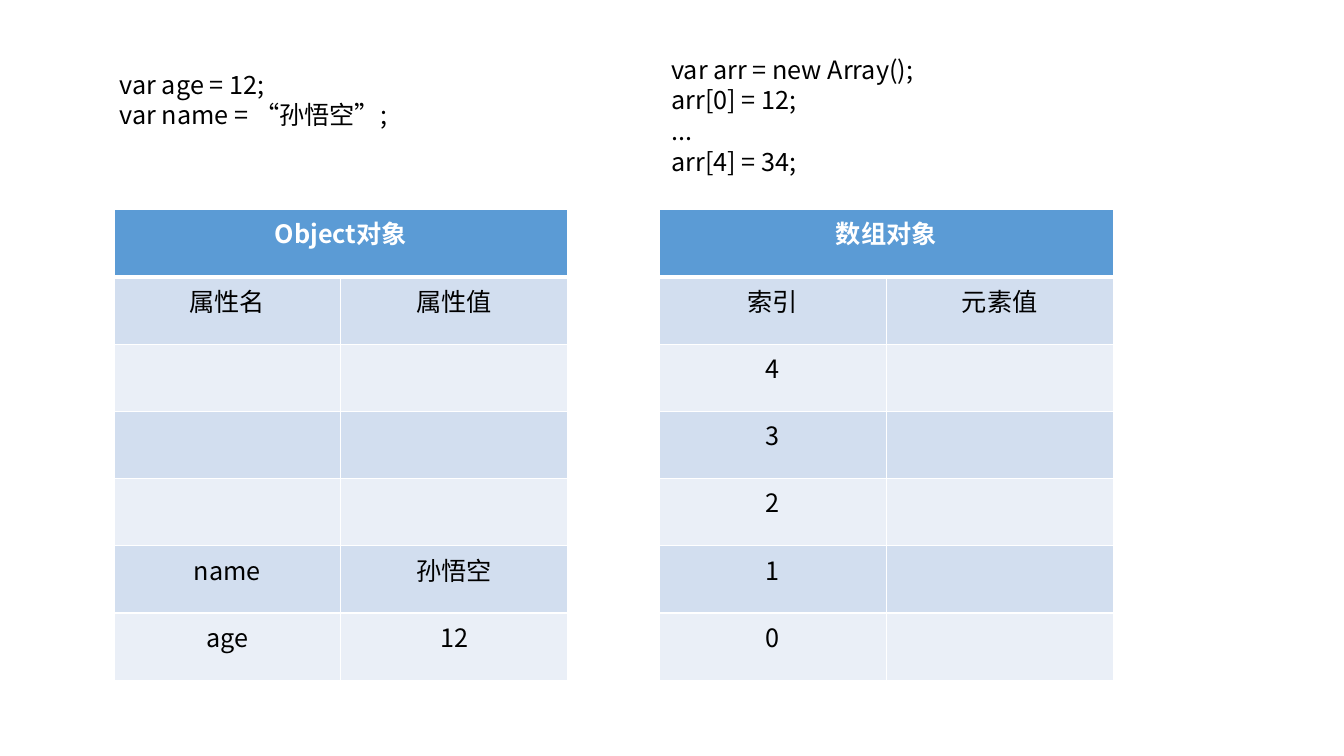
import pptx
import pptx.util
import pptx.dml.color
import pptx.enum.text
import pptx.oxml
import pptx.oxml.ns

Inches, Pt = pptx.util.Inches, pptx.util.Pt
FONT = "Noto Sans CJK SC"
HEADER, DARK_BAND, LIGHT_BAND = "5B9BD5", "D2DEEF", "EAEFF7"
ROW_HEIGHT, COLUMN_WIDTH = 4.67 / 7, 2.25


def write(frame, text, color="000000", bold=False, align="LEFT", line_pitch=None):
    """Fill a text frame, one paragraph per line of text."""
    for i, line in enumerate(text.split("\n")):
        paragraph = frame.add_paragraph() if i else frame.paragraphs[0]
        paragraph.alignment = getattr(pptx.enum.text.PP_ALIGN, align)
        if line_pitch:
            paragraph.line_spacing = Pt(line_pitch)
        run = paragraph.add_run()
        run.text = line
        run.font.size = Pt(18)
        run.font.bold = bold
        run.font.name = FONT
        run.font.color.rgb = pptx.dml.color.RGBColor.from_string(color)
        east_asian = run.font._element.makeelement(pptx.oxml.ns.qn("a:ea"), {"typeface": FONT})
        run.font._element.append(east_asian)


def paint_cell(cell, fill, bottom_width=1):
    """Give a cell white borders and a solid fill."""
    properties = cell._tc.get_or_add_tcPr()
    for side in "LRTB":
        width = Pt(bottom_width if side == "B" else 1)
        properties.append(pptx.oxml.parse_xml(
            f'<a:ln{side} {pptx.oxml.ns.nsdecls("a")} w="{width}">'
            f'<a:solidFill><a:srgbClr val="FFFFFF"/></a:solidFill></a:ln{side}>'))
    cell.fill.solid()
    cell.fill.fore_color.rgb = pptx.dml.color.RGBColor.from_string(fill)


presentation = pptx.Presentation()
presentation.slide_width = Inches(13.33)
presentation.slide_height = Inches(7.5)
slide = presentation.slides.add_slide(presentation.slide_layouts[6])

memory_tables = [
    (1.13, "Object对象", [("属性名", "属性值"), ("", ""), ("", ""), ("", ""),
                        ("name", "孙悟空"), ("age", "12")]),
    (6.54, "数组对象", [("索引", "元素值")] + [(str(index), "") for index in range(4, -1, -1)]),
]
for left, title, entries in memory_tables:
    table = slide.shapes.add_table(
        len(entries) + 1, 2, Inches(left), Inches(2.08),
        Inches(2 * COLUMN_WIDTH), Inches(ROW_HEIGHT * (len(entries) + 1))).table
    table.first_row = table.horz_banding = False
    table.cell(0, 0).merge(table.cell(0, 1))
    write(table.cell(0, 0).text_frame, title, color="FFFFFF", bold=True, align="CENTER")
    for column in range(2):
        paint_cell(table.cell(0, column), HEADER, bottom_width=3)
    for row, entry in enumerate(entries, start=1):
        for column, value in enumerate(entry):
            cell = table.cell(row, column)
            paint_cell(cell, DARK_BAND if row % 2 else LIGHT_BAND)
            if value:
                write(cell.text_frame, value, align="CENTER")

code_samples = [
    (1.09, 0.63, 4.54, 0.71, "var age = 12;\nvar name = “孙悟空”;"),
    (6.56, 0.48, 5.05, 1.61, "var arr = new Array();\narr[0] = 12;\n...\narr[4] = 34;"),
]
for left, top, width, height, code in code_samples:
    frame = slide.shapes.add_textbox(
        Inches(left), Inches(top), Inches(width), Inches(height)).text_frame
    frame.word_wrap = True
    write(frame, code, line_pitch=22)

presentation.save("out.pptx")
